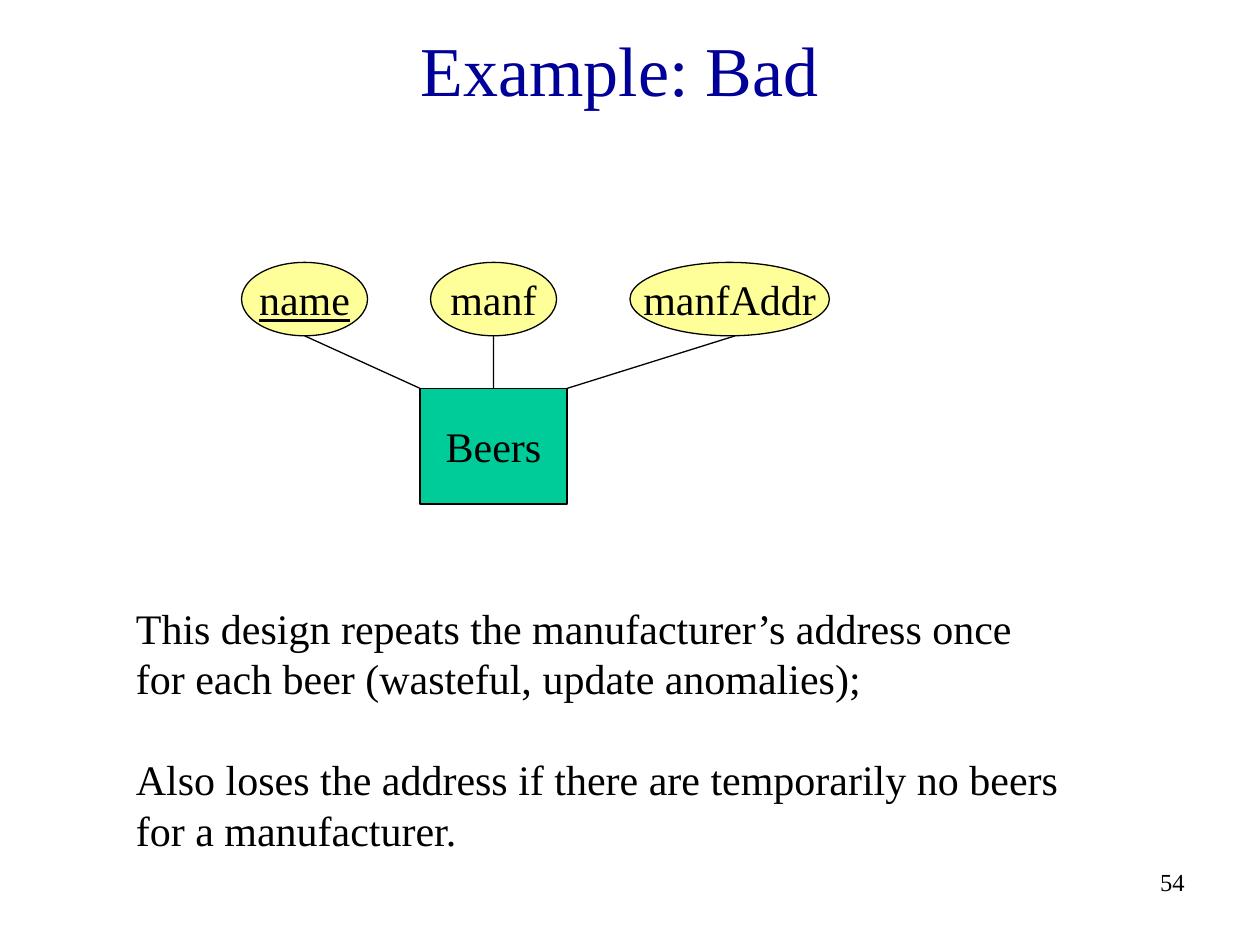
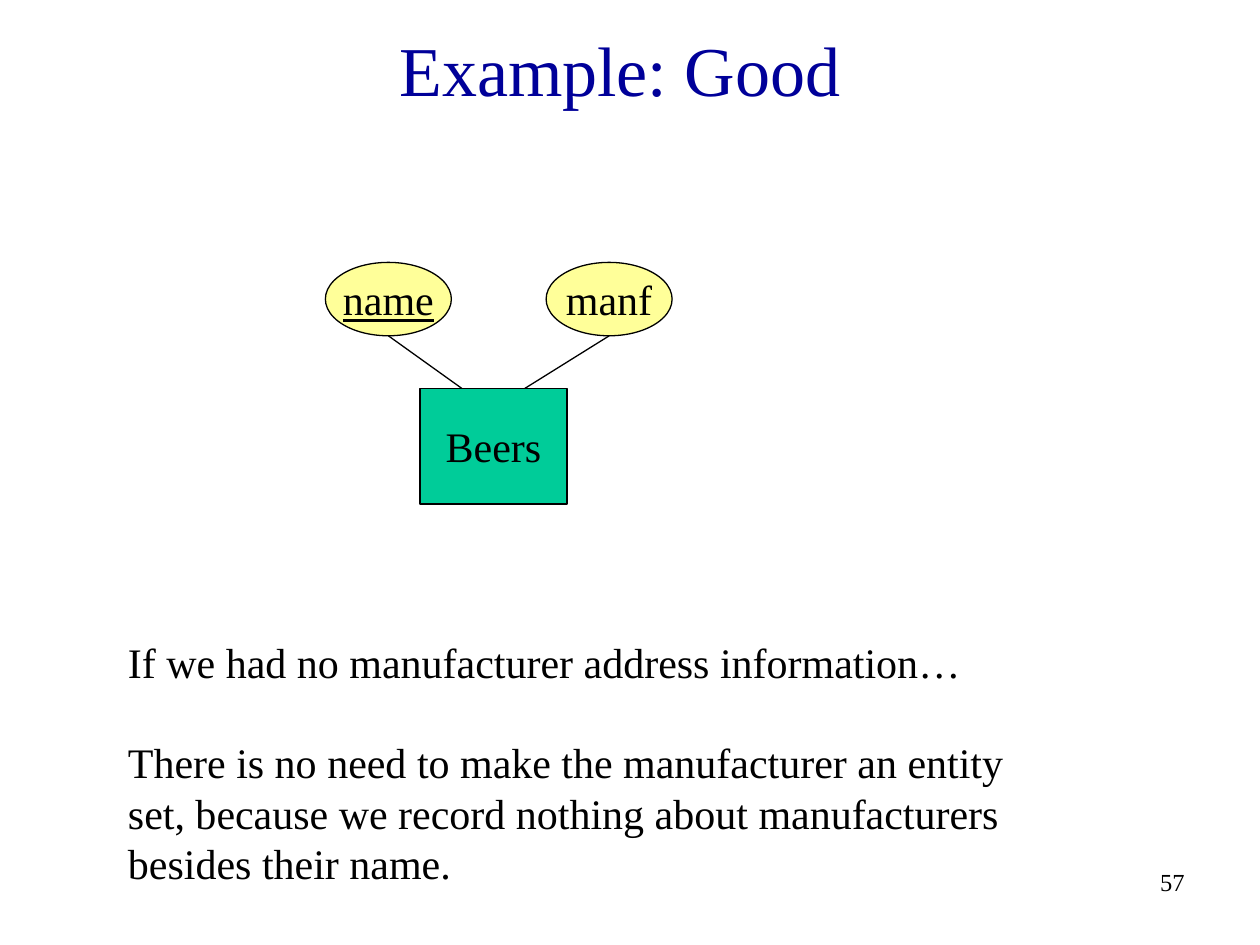
import pptx
import pptx.util
import pptx.dml.color
import pptx.enum.shapes
import pptx.enum.text
import pptx.oxml.ns
import lxml.etree

Cm, Pt = pptx.util.Cm, pptx.util.Pt
RGBColor = pptx.dml.color.RGBColor
Kind = pptx.enum.shapes.MSO_SHAPE
Align = pptx.enum.text.PP_ALIGN
Anchor = pptx.enum.text.MSO_ANCHOR

NAVY = RGBColor(0x00, 0x00, 0x99)
BLACK = RGBColor(0x00, 0x00, 0x00)
GREEN = RGBColor(0x00, 0xCC, 0x99)
YELLOW = RGBColor(0xFF, 0xFF, 0x99)
FONT = "Times New Roman"

# Shared diagram measures, in cm
OVAL_TOP, OVAL_HIGH = 5.29, 1.48
BOX = (8.47, 7.83, 2.96, 2.33)

# Each oval: label, left, width, line start, line end (None joins the box's top middle)
PAGES = [
    dict(title="Example: Bad", number="54",
         ovals=[("name", 4.87, 2.54, 6.14, 8.47),
                ("manf", 8.68, 2.54, 9.95, None),
                ("manfAddr", 12.7, 4.02, 14.82, 11.43)],
         body=(2.49, 12.02, 19.1, 5.33),
         text=["This design repeats the manufacturer’s address once for each "
               "beer (wasteful, update anomalies);",
               "Also loses the address if there are temporarily no beers "
               "for a manufacturer."]),
    dict(title="Example: Good", number="57",
         ovals=[("name", 6.56, 2.54, 7.83, 9.31),
                ("manf", 11.01, 2.54, 12.28, 10.58)],
         body=(2.33, 12.7, 19.1, 5.33),
         text=["If we had no manufacturer address information…",
               "There is no need to make the manufacturer an entity set, "
               "because we record nothing about manufacturers besides their name."]),
]


def write(slide, lines, place, kind=None, fill=None, size=24, color=BLACK,
          align=Align.LEFT, anchor=Anchor.TOP, under=False):
    """Put lines of text in a text box, or in a filled shape if kind is given."""
    spot = [Cm(n) for n in place]
    if kind is None:
        shape = slide.shapes.add_textbox(*spot)
    else:
        shape = slide.shapes.add_shape(kind, *spot)
        shape.shadow.inherit = False
        shape.fill.solid()
        shape.fill.fore_color.rgb = fill
        shape.line.color.rgb = BLACK
        shape.line.width = Pt(0.75)
    frame = shape.text_frame
    frame.word_wrap = kind is None
    frame.vertical_anchor = anchor
    for i, line in enumerate(lines):
        para = frame.paragraphs[0] if i == 0 else frame.add_paragraph()
        para.alignment = align
        para.line_spacing = Pt(size * 1.2)
        if i:
            para.space_before = Pt(size * 1.2)
        run = para.add_run()
        run.text = line
        run.font.name = FONT
        run.font.size = Pt(size)
        run.font.color.rgb = color
        if under:
            run.font.underline = True
    return shape


deck = pptx.Presentation()
deck.slide_width, deck.slide_height = Cm(25.4), Cm(19.05)

for page in PAGES:
    slide = deck.slides.add_slide(deck.slide_layouts[6])

    # Page number and title
    write(slide, [page["number"]], (18.84, 17.35, 5.29, 1.27), size=14,
          align=Align.RIGHT)
    write(slide, [page["title"]], (0.43, 0.43, 24.13, 1.9), size=40,
          color=NAVY, align=Align.CENTER, anchor=Anchor.MIDDLE)

    # Entity set
    box = write(slide, ["Beers"], BOX, kind=Kind.RECTANGLE, fill=GREEN,
                align=Align.CENTER, anchor=Anchor.MIDDLE)

    # Attributes and their lines
    for label, left, wide, start, end in page["ovals"]:
        write(slide, [label], (left, OVAL_TOP, wide, OVAL_HIGH),
              kind=Kind.OVAL, fill=YELLOW, align=Align.CENTER,
              anchor=Anchor.MIDDLE, under=label == "name")
        link = slide.shapes.add_connector(
            pptx.enum.shapes.MSO_CONNECTOR.STRAIGHT,
            Cm(start), Cm(OVAL_TOP + OVAL_HIGH), Cm(end or start), Cm(BOX[1]))
        if end is None:
            link.end_connect(box, 0)
        link.line.color.rgb = BLACK
        link.line.width = Pt(0.75)
        lxml.etree.SubElement(link._element.spPr,
                              pptx.oxml.ns.qn("a:effectLst"))

    # Remarks
    write(slide, page["text"], page["body"])

deck.save("out.pptx")
